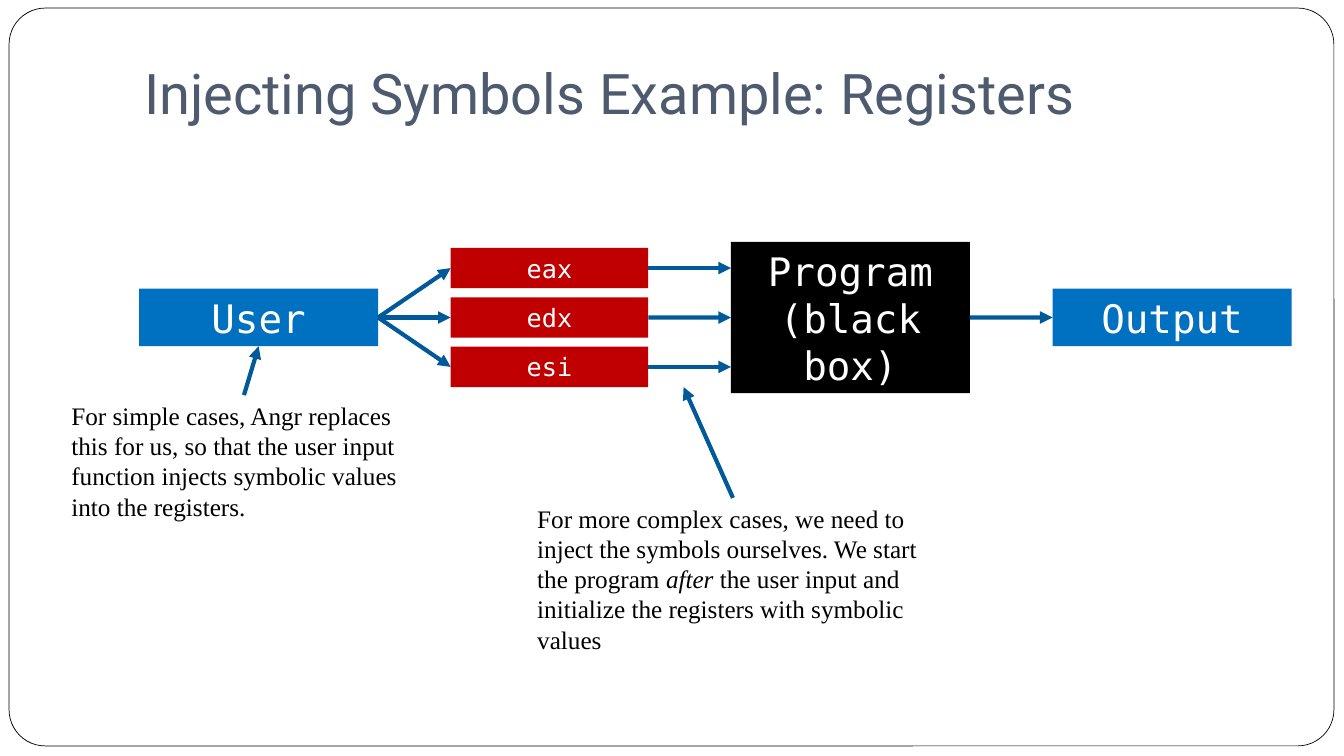
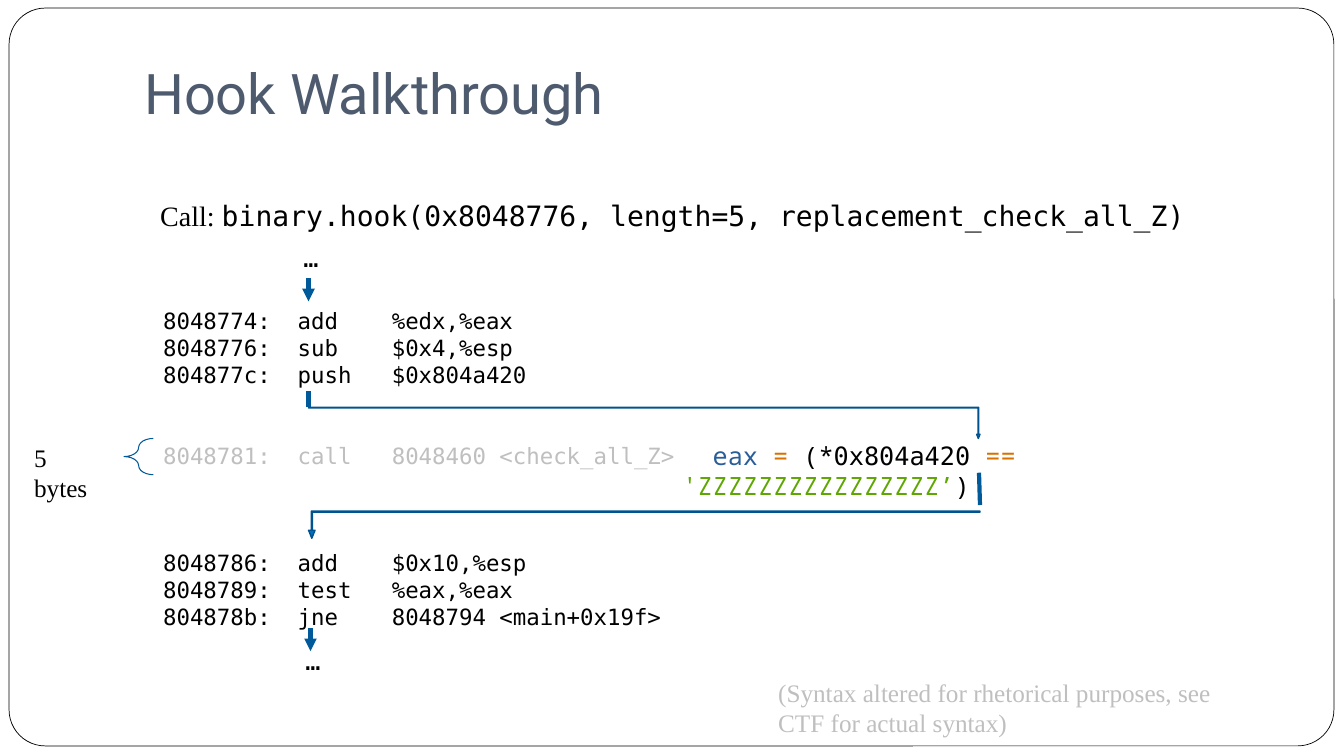
from pptx import Presentation
from pptx.dml.color import RGBColor
from pptx.enum import shapes as kinds, text as txt
from pptx.oxml import ns, xmlchemy as xml
from pptx.util import Inches, Pt

HUES = dict(title="4E5B6F", blue="0070C0", red="C00000", black="000000", white="FFFFFF",
            arrow="005A9A", edge="00538E", gray="BFBFBF", name="295E99", sign="D97100",
            quote="5EA702")
MONO, NOTO, SERIF, SANS = "DejaVu Sans Mono", "Noto Sans Mono", "Times New Roman", "Roboto"
LEFT, MID = txt.PP_ALIGN.LEFT, txt.PP_ALIGN.CENTER
SHAPE = kinds.MSO_SHAPE


def hue(name):
    return RGBColor.from_string(HUES[name])


def style(font, face, size, color):
    font.name, font.size = face, Pt(size)
    font.color.rgb = hue(color)


def form(slide, kind, box, fill=None, line=None, width=1, adj=()):
    shape = slide.shapes.add_shape(kind, *map(Inches, box))
    shape.shadow.inherit = False
    for i, value in enumerate(adj):
        shape.adjustments[i] = value
    if fill:
        shape.fill.solid()
        shape.fill.fore_color.rgb = hue(fill)
    else:
        shape.fill.background()
    if line:
        shape.line.color.rgb = hue(line)
        shape.line.width = Pt(width)
    else:
        shape.line.fill.background()
    return shape


def block(slide, box, label, fill, size):
    shape = form(slide, SHAPE.RECTANGLE, box, fill)
    frame = shape.text_frame
    frame.word_wrap = True
    frame.vertical_anchor = txt.MSO_ANCHOR.MIDDLE
    para = frame.paragraphs[0]
    para.text, para.alignment = label, MID
    style(para.font, MONO, size, "white")
    return shape


def note(slide, box, words, face=SERIF, size=18, color="black", align=LEFT):
    """Text box with one paragraph; words is a string or a list of strings for its runs."""
    frame = slide.shapes.add_textbox(*map(Inches, box)).text_frame
    frame.word_wrap = True
    para = frame.paragraphs[0]
    para.alignment = align
    style(para.font, face, size, color)
    for word in [words] if isinstance(words, str) else words:
        para.add_run().text = word
    return para


def link(slide, start, end, head=True):
    """Straight line; each end is a point or a (shape, side) pair."""
    line = slide.shapes.add_connector(kinds.MSO_CONNECTOR.STRAIGHT, 0, 0, 0, 0)
    line.line.color.rgb = hue("arrow")
    line.line.width = Pt(3)
    for (a, b), join, x, y in ((start, line.begin_connect, "begin_x", "begin_y"),
                               (end, line.end_connect, "end_x", "end_y")):
        if isinstance(a, (int, float)):
            setattr(line, x, Inches(a))
            setattr(line, y, Inches(b))
        else:
            join(a, b)
    props = line.element.spPr
    if head:
        tail = xml.OxmlElement("a:tailEnd")
        tail.set("type", "triangle")
        props.find(ns.qn("a:ln")).append(tail)
    props.append(xml.OxmlElement("a:effectLst"))


def page(deck, title):
    slide = deck.slides.add_slide(deck.slide_layouts[5])
    head = slide.shapes.title
    head.left, head.top, head.width, head.height = map(Inches, (1.33, 0.13, 11.33, 1.22))
    frame = head.text_frame
    frame.word_wrap = True
    frame.auto_size = txt.MSO_AUTO_SIZE.NONE
    frame.vertical_anchor = txt.MSO_ANCHOR.BOTTOM
    frame.margin_bottom = Inches(0.1)
    para = frame.paragraphs[0]
    para.text, para.alignment = title, LEFT
    style(para.font, SANS, 40, "title")
    return slide


def border(deck, slide):
    """Draw the rounded page frame, then hand it to the shared layout."""
    frame = form(slide, SHAPE.ROUNDED_RECTANGLE, (0.09, 0.08, 13.14, 7.32),
                 "white", "black", 0.5, [0.049])
    deck.slide_layouts[5].shapes.element.insert(2, frame.element)


# Slide 1: data flow
def flow(slide, x, mid):
    """Boxes from user to output, centred on the height mid; returns the user box."""
    wide, tall = 2.37, 0.57
    user = block(slide, (x, mid - tall / 2, wide, tall), "User", "blue", 28)
    box = x + 5.87
    prog = block(slide, (box, mid - 0.75, wide, 1.5), "Program (black box)", "black", 28)
    out = block(slide, (x + 9.06, mid - tall / 2, wide, tall), "Output", "blue", 28)
    for row, name in enumerate(("eax", "edx", "esi"), -1):
        y = mid + row * 0.49
        reg = block(slide, (x + 3.09, y - 0.2, 1.96, 0.4), name, "red", 18)
        link(slide, (user, 3), (reg, 1))
        link(slide, (reg, 3), (box, y) if row else (prog, 1))
    link(slide, (prog, 3), (out, 1))
    return user


def symbols(deck):
    slide = page(deck, "Injecting Symbols Example: Registers")
    border(deck, slide)
    user = flow(slide, 1.38, 3.15)
    # Remarks
    note(slide, (0.61, 3.92, 3.63, 1.31),
         "For simple cases, Angr replaces this for us, so that the user input "
         "function injects symbolic values into the registers.")
    link(slide, (2.42, 3.92), (user, 2))
    para = note(slide, (5.23, 4.94, 4.09, 1.62), [
        "For more complex cases, we need to inject the symbols ourselves. We start the program ",
        "after", " the user input and initialize the registers with symbolic values"])
    para.runs[1].font.italic = True
    link(slide, (7.27, 4.94), (6.78, 3.84))


# Slide 2: disassembly and its detour
CODE = [("8048774:  add    %edx,%eax", 0), ("8048776:  sub    $0x4,%esp", 0),
        ("804877c:  push   $0x804a420", 0), ("8048781:  call   8048460 <check_all_Z>", 2),
        ("8048786:  add    $0x10,%esp", 3), ("8048789:  test   %eax,%eax", 0),
        ("804878b:  jne    8048794 <main+0x19f>", 0)]
TEST = [("  ", "black", NOTO), ("eax ", "name", NOTO), ("= ", "sign", NOTO),
        ("(*", "black", NOTO), ("0x804a420 ", "black", MONO), ("== ", "sign", NOTO),
        ("'ZZZZZZZZZZZZZZZZ’", "quote", NOTO), (")", "black", NOTO)]


def listing(slide, x, y):
    """Assembly lines with dots and arrows above and below."""
    pitch = 19.2
    frame = slide.shapes.add_textbox(*map(Inches, (x, y, 5.36, 3.33))).text_frame
    frame.word_wrap = True
    for i, (line, gap) in enumerate(CODE):
        para = frame.add_paragraph() if i else frame.paragraphs[0]
        para.text, para.line_spacing = line, Pt(pitch)
        style(para.font, MONO, 16, "gray" if "call" in line else "black")
        if gap:
            para.space_before = Pt(gap * pitch)
    for left, dots, top in ((1.54, -0.65, -0.24), (1.56, 3.35, 3.23)):
        note(slide, (x + left - 0.15, y + dots, 0.4, 0.4), "…", MONO)
        link(slide, (x + left, y + top), (x + left, y + top + 0.23))


def detour(slide, x, y):
    """Bent arrows that lead to the replacement test and back."""
    wide = 6.66
    para = note(slide, (x + 3.61, y + 0.28, 6.42, 0.4), [t for t, _, _ in TEST], NOTO)
    for run, (_, color, face) in zip(para.runs, TEST):
        style(run.font, face, 18, color)
    there = form(slide, SHAPE.BENT_UP_ARROW, (x, y, wide, 0.31), "blue", "edge", 1,
                 [0.021, 0.053, 0.135])
    back = form(slide, SHAPE.BENT_UP_ARROW, (x, y + 1.03, wide, 0.27), "blue", "edge", 1,
                [0.043, 0.119, 0.295])
    there.rotation = back.rotation = 180
    there.element.spPr.xfrm.set("flipH", "1")
    link(slide, (x, y), (x, y - 0.16), False)
    link(slide, (x + wide, y + 0.97), (x + wide - 0.01, y + 0.65), False)


def hook(deck):
    slide = page(deck, "Hook Walkthrough")
    para = note(slide, (0.92, 1.92, 11.5, 0.44), [
        "Call: ", "binary.hook(0x8048776, length=5, replacement_check_all_Z)"],
        size=20, align=MID)
    para.runs[1].font.name = MONO
    listing(slide, 1.52, 3)
    detour(slide, 3.06, 4.04)
    # Length mark and closing remark
    form(slide, SHAPE.LEFT_BRACE, (1.23, 4.35, 0.29, 0.36), None, "arrow", 0.75, [0.433, 0.5])
    note(slide, (0.24, 4.34, 0.84, 0.4), "5 bytes")
    note(slide, (7.62, 6.67, 4.94, 0.71),
         "(Syntax altered for rhetorical purposes, see CTF for actual syntax)", color="gray")


def main():
    deck = Presentation()
    deck.slide_width, deck.slide_height = Inches(13.33), Inches(7.5)
    symbols(deck)
    hook(deck)
    deck.save("out.pptx")


if __name__ == "__main__":
    main()
